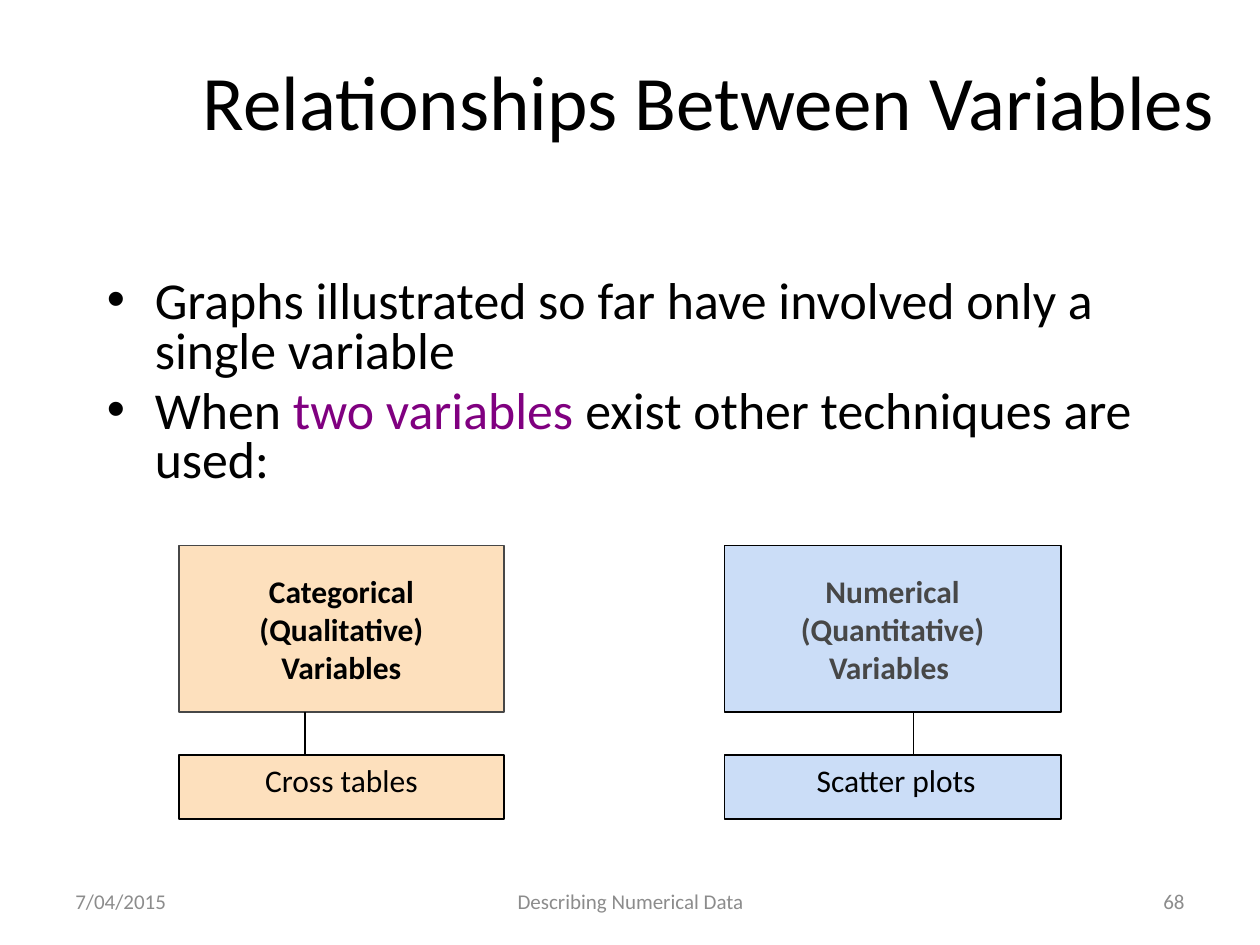
from lxml import etree
from pptx import Presentation
from pptx.dml.color import RGBColor
from pptx.enum.shapes import MSO_CONNECTOR, MSO_SHAPE
from pptx.enum.text import MSO_ANCHOR, PP_ALIGN
from pptx.oxml.ns import qn
from pptx.util import Inches, Pt

LEFT, CENTER, RIGHT = PP_ALIGN.LEFT, PP_ALIGN.CENTER, PP_ALIGN.RIGHT
TOP, MIDDLE = MSO_ANCHOR.TOP, MSO_ANCHOR.MIDDLE
RECTANGLE = MSO_SHAPE.RECTANGLE
STRAIGHT = MSO_CONNECTOR.STRAIGHT

FONT = "Calibri"
BLACK, DARK_GRAY, GRAY, PURPLE = "000000", "474747", "8C8C8C", "800080"
PEACH, PALE_BLUE = "FDE0BD", "CBDDF7"
BULLETS = [
    [("Graphs illustrated so far have involved only a single variable", BLACK)],
    [("When ", BLACK), ("two variables", PURPLE),
     (" exist other techniques are used:", BLACK)],
]
VARIABLE_TOP, VARIABLE_HEIGHT = 4.33, 1.32
TECHNIQUE_TOP, TECHNIQUE_HEIGHT = 5.99, 0.51
FOOTER_TOP, FOOTER_HEIGHT = 6.95, 0.4


def rgb(color):
    return RGBColor.from_string(color)


def add_run(paragraph, text, size, color, bold=False):
    run = paragraph.add_run()
    run.text = text
    run.font.name = FONT
    run.font.size = Pt(size)
    run.font.bold = bold
    run.font.color.rgb = rgb(color)


def add_paragraph(frame, index):
    return frame.add_paragraph() if index else frame.paragraphs[0]


def write_lines(frame, lines, size, color, align, anchor, bold=False):
    frame.vertical_anchor = anchor
    for index, line in enumerate(lines):
        paragraph = add_paragraph(frame, index)
        paragraph.alignment = align
        add_run(paragraph, line, size, color, bold)


def add_text_frame(slide, left, top, width, height):
    box = slide.shapes.add_textbox(
        Inches(left), Inches(top), Inches(width), Inches(height))
    box.text_frame.word_wrap = True
    return box.text_frame


def add_label(slide, text, left, top, width, height, size, color, align):
    frame = add_text_frame(slide, left, top, width, height)
    write_lines(frame, [text], size, color, align, MIDDLE)


def add_bullets(slide, bullets, left, top, width, height):
    frame = add_text_frame(slide, left, top, width, height)
    for index, runs in enumerate(bullets):
        paragraph = add_paragraph(frame, index)
        paragraph.line_spacing = 0.8
        if index:
            paragraph.space_before = Pt(6)
        properties = paragraph._p.get_or_add_pPr()
        properties.set("marL", str(Inches(0.38)))
        properties.set("indent", str(Inches(-0.38)))
        etree.SubElement(properties, qn("a:buFont")).set("typeface", "Arial")
        etree.SubElement(properties, qn("a:buChar")).set("char", "•")
        for text, color in runs:
            add_run(paragraph, text, 29.6, color)


def add_box(slide, left, top, width, height, fill, outline):
    box = slide.shapes.add_shape(
        RECTANGLE, Inches(left), Inches(top), Inches(width), Inches(height))
    box.shadow.inherit = False
    box.fill.solid()
    box.fill.fore_color.rgb = rgb(fill)
    box.line.color.rgb = rgb(outline)
    box.line.width = Pt(1)
    return box.text_frame


def add_link(slide, x, top, bottom):
    link = slide.shapes.add_connector(
        STRAIGHT, Inches(x), Inches(top), Inches(x), Inches(bottom))
    link.line.color.rgb = rgb(BLACK)
    link.line.width = Pt(0.75)
    etree.SubElement(link._element.spPr, qn("a:effectLst"))


def add_branch(slide, left, width, link_x, fill, outline, text_color,
               variable_lines, technique):
    variable = add_box(slide, left, VARIABLE_TOP, width, VARIABLE_HEIGHT,
                       fill, outline)
    variable.word_wrap = False
    write_lines(variable, variable_lines, 18, text_color, CENTER, MIDDLE, True)
    method = add_box(slide, left, TECHNIQUE_TOP, width, TECHNIQUE_HEIGHT,
                     fill, BLACK)
    method.word_wrap = True
    write_lines(method, [technique], 18, BLACK, CENTER, TOP)
    add_link(slide, link_x, VARIABLE_TOP + VARIABLE_HEIGHT, TECHNIQUE_TOP)


def main():
    presentation = Presentation()
    presentation.slide_width = Inches(10)
    presentation.slide_height = Inches(7.5)
    slide = presentation.slides.add_slide(presentation.slide_layouts[6])

    add_label(slide, "Relationships Between Variables",
              1.42, 0.25, 8.41, 1.08, 44, BLACK, CENTER)
    add_bullets(slide, BULLETS, 0.75, 2.17, 8.75, 1.83)
    add_branch(slide, 1.42, 2.58, 2.42, PEACH, DARK_GRAY, BLACK,
               ["Categorical", "(Qualitative)", "Variables"], "Cross tables")
    add_branch(slide, 5.75, 2.67, 7.25, PALE_BLUE, BLACK, DARK_GRAY,
               ["Numerical", "(Quantitative)", "Variables "], " Scatter plots")
    for text, left, width, align in [
        ("Describing Numerical Data", 3.42, 3.17, CENTER),
        ("68", 7.17, 2.33, RIGHT),
        ("7/04/2015", 0.5, 2.33, LEFT),
    ]:
        add_label(slide, text, left, FOOTER_TOP, width, FOOTER_HEIGHT,
                  12, GRAY, align)
    presentation.save("out.pptx")


if __name__ == "__main__":
    main()
